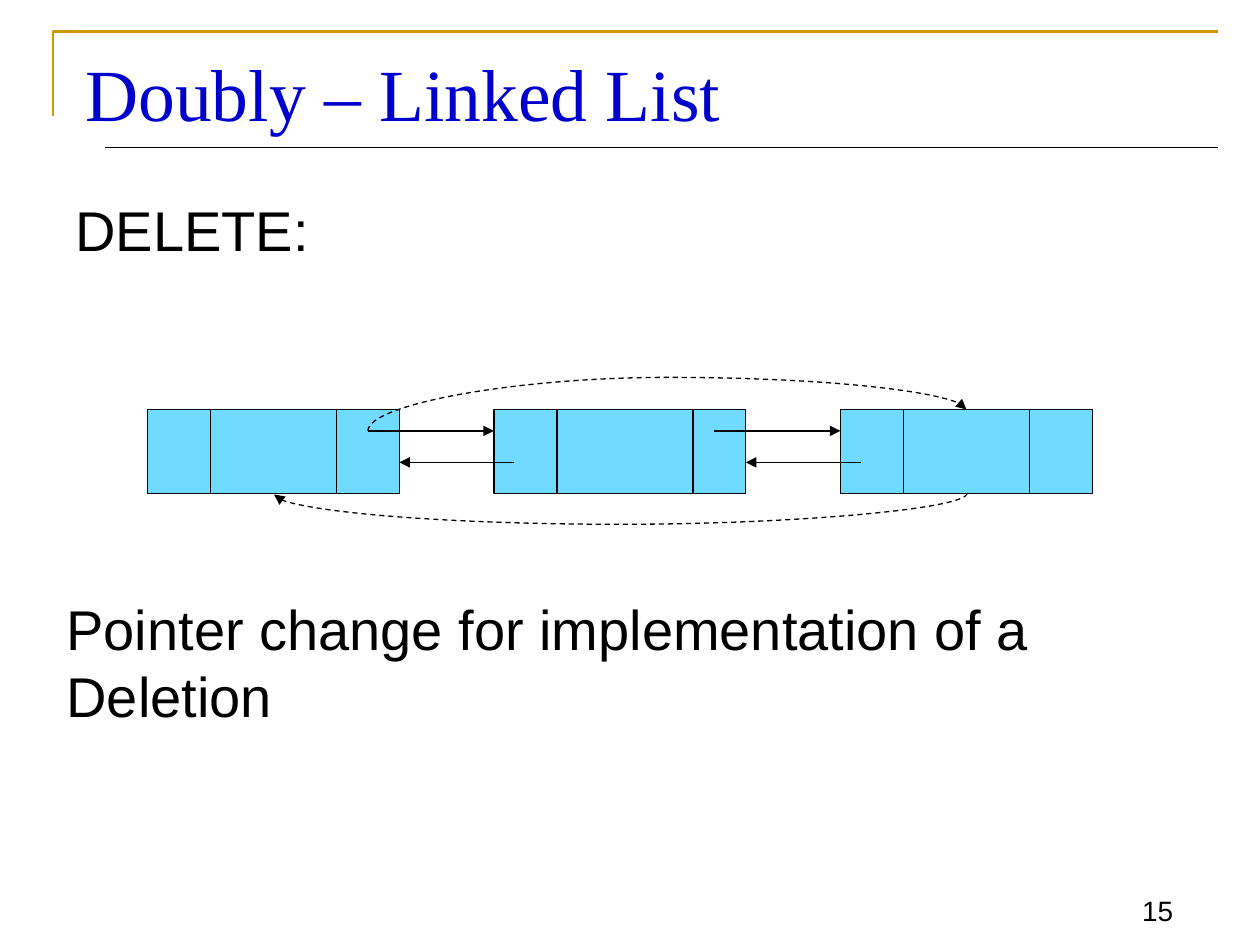
from lxml import etree
from pptx import Presentation
from pptx import util as u
from pptx.dml.color import RGBColor
from pptx.enum import dml, shapes, text
from pptx.oxml import ns

BLACK = RGBColor(0x00, 0x00, 0x00)
GOLD = RGBColor(0xCC, 0x99, 0x00)
TITLE_BLUE = RGBColor(0x00, 0x00, 0xCC)
NODE_BLUE = RGBColor(0x71, 0xDA, 0xFF)
NODE_WIDTH, NODE_HEIGHT = 2, 0.67


def set_line(shape, color=BLACK, width=0.75):
    shape.line.color.rgb = color
    shape.line.width = u.Pt(width)


def add_line(page, start, end, arrow=False, kind=shapes.MSO_CONNECTOR.STRAIGHT):
    points = [u.Inches(value) for value in (*start, *end)]
    line = page.shapes.add_connector(kind, *points)
    set_line(line)
    if arrow:
        etree.SubElement(line.line._get_or_add_ln(), ns.qn("a:tailEnd"), type="triangle")
    etree.SubElement(line._element.spPr, ns.qn("a:effectLst"))
    return line


def add_arc(page, left, top, width, height, turn, bulge):
    """Add a dashed curved arrow; the box is given before its turn in degrees."""
    arc = add_line(page, (left, top), (left + width, top + height), True,
                   shapes.MSO_CONNECTOR.CURVE)
    arc.line.dash_style = dml.MSO_LINE.DASH
    properties = arc._element.spPr
    properties.find(ns.qn("a:xfrm")).set("rot", str(turn * 60000))
    guides = properties.find(ns.qn("a:prstGeom")).get_or_add_avLst()
    etree.SubElement(guides, ns.qn("a:gd"), name="adj1", fmla=f"val {round(bulge * 100000)}")


def add_text(page, left, top, width, height, words, size, name="Arial", color=BLACK,
             anchor=text.MSO_ANCHOR.TOP, align=text.PP_ALIGN.LEFT):
    box = page.shapes.add_textbox(*[u.Inches(value) for value in (left, top, width, height)])
    frame = box.text_frame
    frame.word_wrap = True
    frame.vertical_anchor = anchor
    para = frame.paragraphs[0]
    para.alignment = align
    span = para.add_run()
    span.text = words
    for key, value in {"name": name, "size": u.Pt(size)}.items():
        setattr(span.font, key, value)
    span.font.color.rgb = color


def add_frame(page, left, top, right):
    builder = page.shapes.build_freeform(u.Inches(left), u.Inches(top + 0.67))
    builder.add_line_segments(
        [(u.Inches(left), u.Inches(top)), (u.Inches(right), u.Inches(top))], close=False)
    corner = builder.convert_to_shape()
    corner.shadow.inherit = False
    corner.fill.background()
    set_line(corner, GOLD, 1.5)
    add_line(page, (left + 0.41, top + 0.92), (right, top + 0.92))


def add_node(page, left, top, dividers):
    node = page.shapes.add_shape(
        shapes.MSO_SHAPE.RECTANGLE,
        *[u.Inches(value) for value in (left, top, NODE_WIDTH, NODE_HEIGHT)])
    node.shadow.inherit = False
    node.fill.solid()
    node.fill.fore_color.rgb = NODE_BLUE
    set_line(node)
    for offset in dividers:
        add_line(page, (left + offset, top), (left + offset, top + NODE_HEIGHT))


def add_linked_list(page, left, top):
    pitch = 2.75
    next_y, previous_y = top + 0.17, top + 0.42
    for index, dividers in enumerate([(0.5, 1.5), (0.5, 1.58), (0.5, 1.5)]):
        add_node(page, left + index * pitch, top, dividers)
    for index in range(2):
        near = left + index * pitch
        far = near + pitch
        add_line(page, (near + 1.75, next_y), (far, next_y), arrow=True)
        add_line(page, (far + 0.16, previous_y), (near + NODE_WIDTH, previous_y), arrow=True)
    add_arc(page, left + 4.04, top - 2.29, 0.17, 4.75, turn=270, bulge=2.5)
    add_arc(page, left + 3.75, top - 2.08, 0.01, 5.5, turn=90, bulge=25)


def main():
    deck = Presentation()
    deck.slide_width, deck.slide_height = u.Inches(10), u.Inches(7.5)
    page = deck.slides.add_slide(deck.slide_layouts[6])
    add_frame(page, 0.42, 0.25, 9.67)
    add_text(page, 8.75, 6.92, 0.66, 0.49, "15", 16,
             anchor=text.MSO_ANCHOR.BOTTOM, align=text.PP_ALIGN.RIGHT)
    add_text(page, 0.5, 1.5, 2.83, 0.75, "DELETE:", 32)
    add_linked_list(page, 1.17, 3.25)
    add_text(page, 0.43, 4.67, 9.4, 0.63,
             "Pointer change for implementation of a Deletion", 32)
    add_text(page, 0.58, 0.33, 9.08, 0.75, "Doubly – Linked List", 42,
             "Times New Roman", TITLE_BLUE)
    deck.save("out.pptx")


if __name__ == "__main__":
    main()
